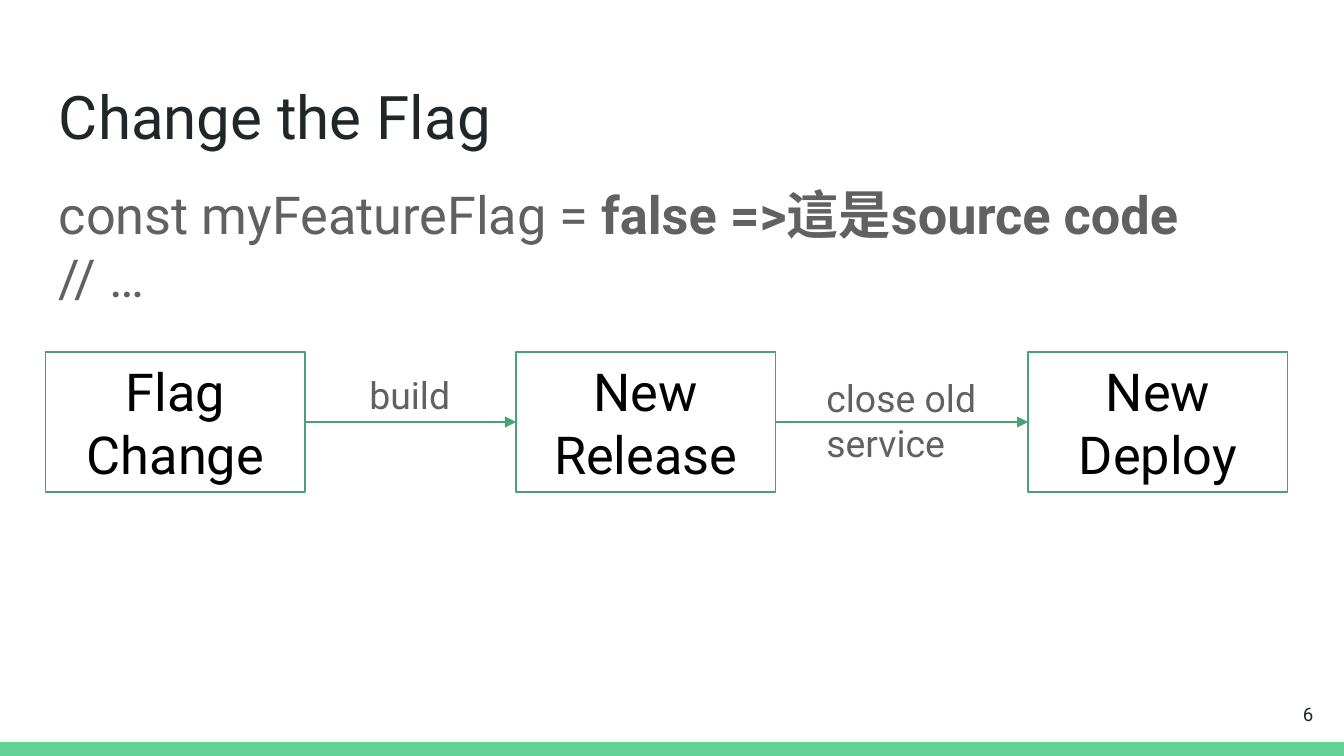
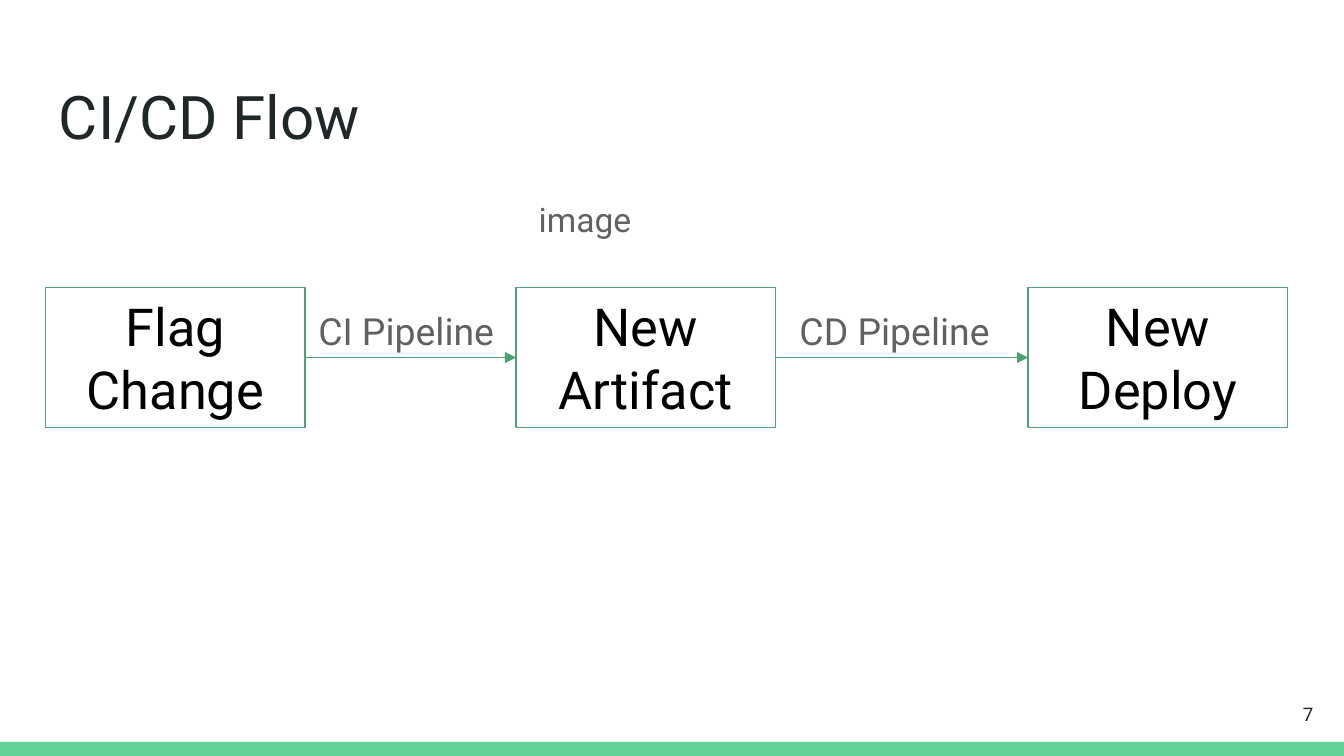
import pptx
import pptx.dml.color
import pptx.enum.shapes
import pptx.enum.text
import pptx.oxml
import pptx.oxml.ns
import pptx.util

COLUMNS = 100
ROWS = 56.25
CELL = pptx.util.Inches(0.1)
FONT = "Roboto"
INK = "202729"
GREY = "616161"
BLACK = "000000"
WHITE = "FFFFFF"
GREEN = "4BA173"
BAND = "63D297"
MARGIN = 3.4
BOX_COLUMNS = (MARGIN, 38.4, 76.5)
BOX_SIZE = (19.3, 10.4)
ALIGN = pptx.enum.text.PP_ALIGN
ANCHOR = pptx.enum.text.MSO_ANCHOR
RECTANGLE = pptx.enum.shapes.MSO_SHAPE.RECTANGLE


def color(value):
    return pptx.dml.color.RGBColor.from_string(value)


def cells(*counts):
    return [round(count * CELL) for count in counts]


def write(shape, paragraphs, size, ink, align=ALIGN.LEFT, anchor=ANCHOR.TOP, grow=False):
    frame = shape.text_frame
    frame.word_wrap = True
    frame.vertical_anchor = anchor
    fit = pptx.enum.text.MSO_AUTO_SIZE
    frame.auto_size = fit.SHAPE_TO_FIT_TEXT if grow else fit.NONE
    frame.margin_left = frame.margin_right = CELL
    frame.margin_top = frame.margin_bottom = CELL
    for index, runs in enumerate(paragraphs):
        paragraph = frame.add_paragraph() if index else frame.paragraphs[0]
        paragraph.alignment = align
        for text, bold in runs:
            run = paragraph.add_run()
            run.text = text
            run.font.name = FONT
            run.font.size = pptx.util.Pt(size)
            run.font.bold = bold
            run.font.color.rgb = color(ink)


def plain(*lines):
    return [[(line, False)] for line in lines]


def add_text(slide, area, paragraphs, size, ink, **style):
    write(slide.shapes.add_textbox(*cells(*area)), paragraphs, size, ink, **style)


def add_label(slide, area, *lines):
    add_text(slide, area, plain(*lines), 20, GREY, grow=True)


def add_rectangle(slide, area):
    shape = slide.shapes.add_shape(RECTANGLE, *cells(*area))
    shape.shadow.inherit = False
    return shape


def add_box(slide, column, row, text):
    box = add_rectangle(slide, (column, row, *BOX_SIZE))
    box.fill.background()
    box.line.color.rgb = color(GREEN)
    box.line.width = pptx.util.Pt(0.75)
    write(box, plain(text), 28, BLACK, align=ALIGN.CENTER, anchor=ANCHOR.MIDDLE)
    return box


def add_arrow(slide, source, target):
    straight = pptx.enum.shapes.MSO_CONNECTOR.STRAIGHT
    arrow = slide.shapes.add_connector(straight, 0, 0, 0, 0)
    arrow.begin_connect(source, 3)
    arrow.end_connect(target, 1)
    arrow.line.color.rgb = color(GREEN)
    arrow.line.width = pptx.util.Pt(0.75)
    namespace = pptx.oxml.ns.nsdecls("a")
    line = arrow.line._get_or_add_ln()
    line.append(pptx.oxml.parse_xml(f'<a:tailEnd {namespace} type="triangle"/>'))
    arrow._element.spPr.append(pptx.oxml.parse_xml(f"<a:effectLst {namespace}/>"))


def add_flow(slide, row, steps):
    boxes = [add_box(slide, column, row, step) for column, step in zip(BOX_COLUMNS, steps)]
    for source, target in zip(boxes, boxes[1:]):
        add_arrow(slide, source, target)


def add_slide(presentation, title, number):
    slide = presentation.slides.add_slide(presentation.slide_layouts[6])
    slide.background.fill.solid()
    slide.background.fill.fore_color.rgb = color(WHITE)
    band = add_rectangle(slide, (0, 55.2, COLUMNS, ROWS - 55.2))
    band.fill.solid()
    band.fill.fore_color.rgb = color(BAND)
    band.line.fill.background()
    add_text(slide, (MARGIN, 4.9, COLUMNS - 2 * MARGIN, 6.3), plain(title), 32.2, INK)
    add_text(slide, (92.7, 51, 6, 4.3), plain(str(number)), 10, INK,
             align=ALIGN.RIGHT, anchor=ANCHOR.MIDDLE)
    return slide


def build_flag_slide(presentation):
    slide = add_slide(presentation, "Change the Flag", 6)
    code = [
        [("const myFeatureFlag = ", False), ("false =>這是source code", True)],
        [("// …", False)],
    ]
    add_text(slide, (MARGIN, 12.6, COLUMNS - 2 * MARGIN, 37.4), code, 28, GREY)
    add_flow(slide, 26.2, ("Flag Change", "New Release", "New Deploy"))
    add_label(slide, (26.5, 26.7, 15.6, 5.4), "build")
    add_label(slide, (60.5, 26.9, 25.8, 8.8), "close old", "service")


def build_pipeline_slide(presentation):
    slide = add_slide(presentation, "CI/CD Flow", 7)
    add_flow(slide, 21.4, ("Flag Change", "New Artifact", "New Deploy"))
    add_label(slide, (22.7, 21.9, 15.6, 5.4), "CI Pipeline")
    add_label(slide, (58.5, 21.9, 17.2, 5.4), "CD Pipeline")
    add_text(slide, (39.1, 13.8, 21, 8.7), plain("image"), 18, GREY)


def main():
    presentation = pptx.Presentation()
    presentation.slide_width, presentation.slide_height = cells(COLUMNS, ROWS)
    build_flag_slide(presentation)
    build_pipeline_slide(presentation)
    presentation.save("out.pptx")


if __name__ == "__main__":
    main()
